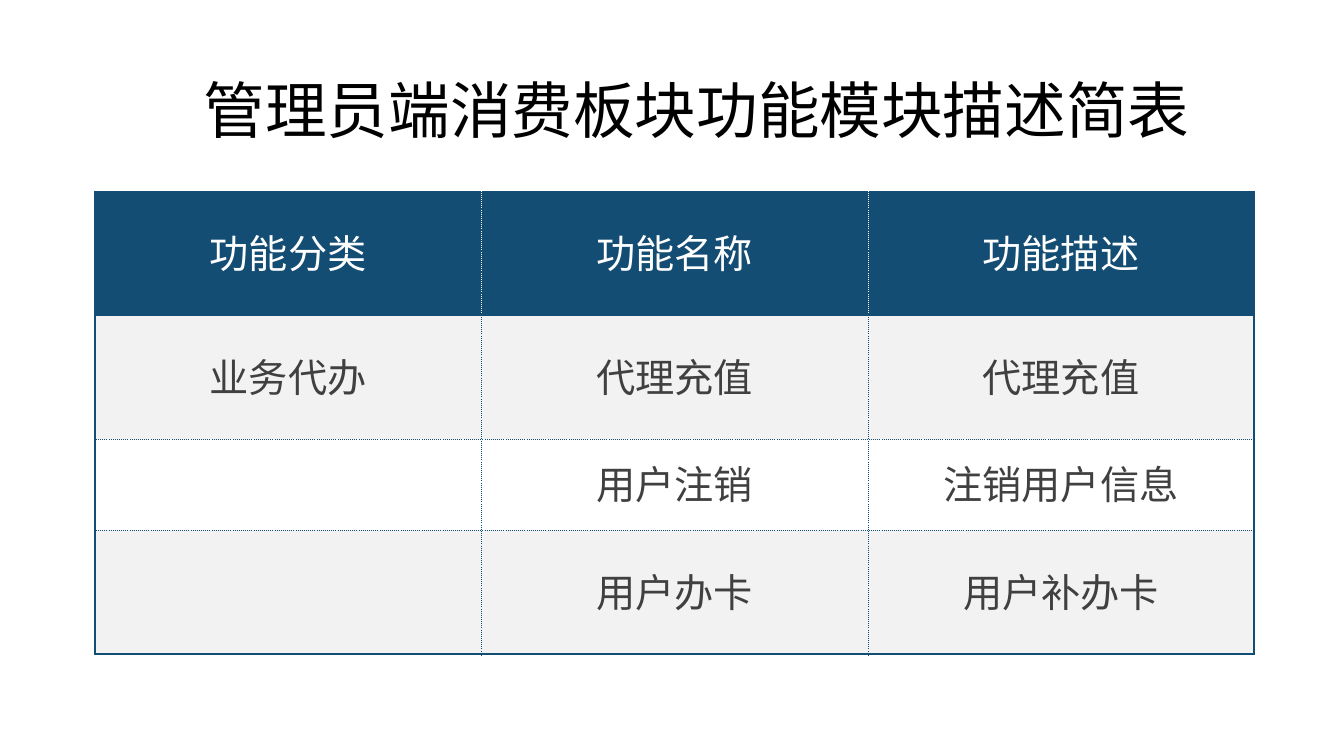
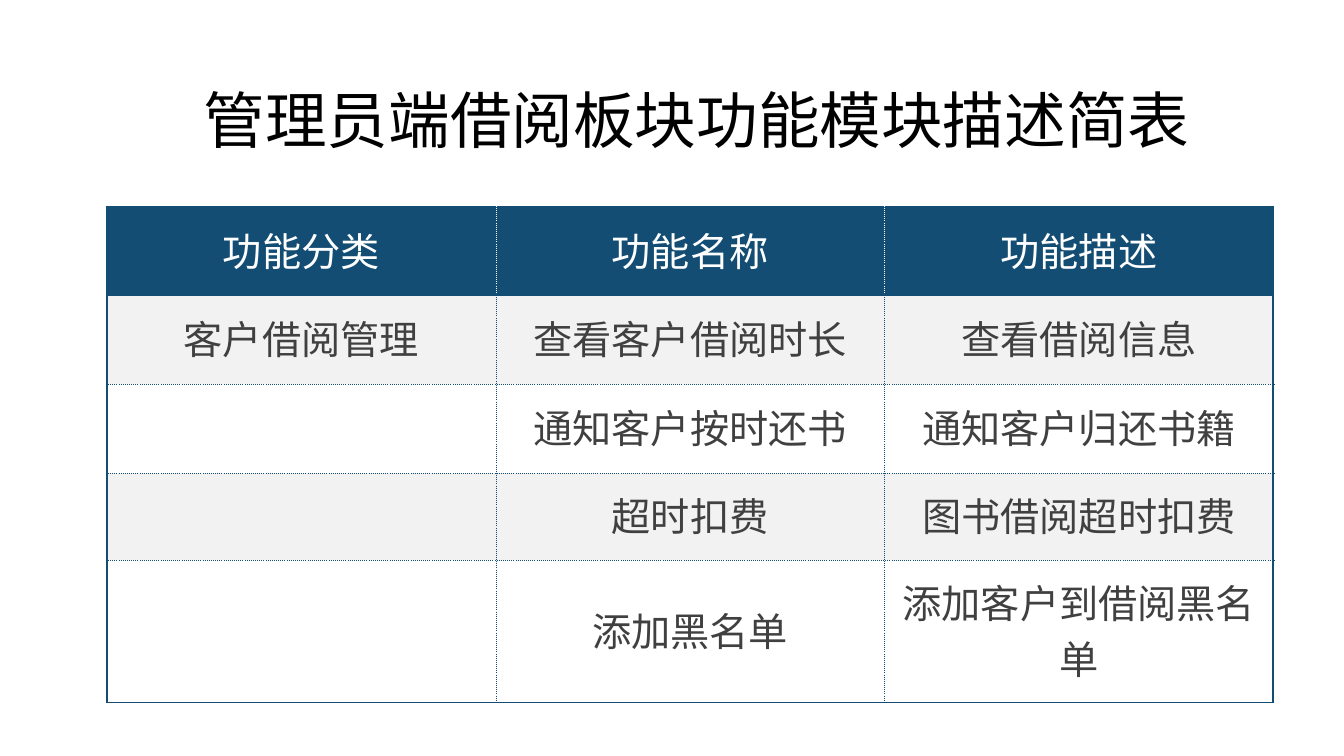
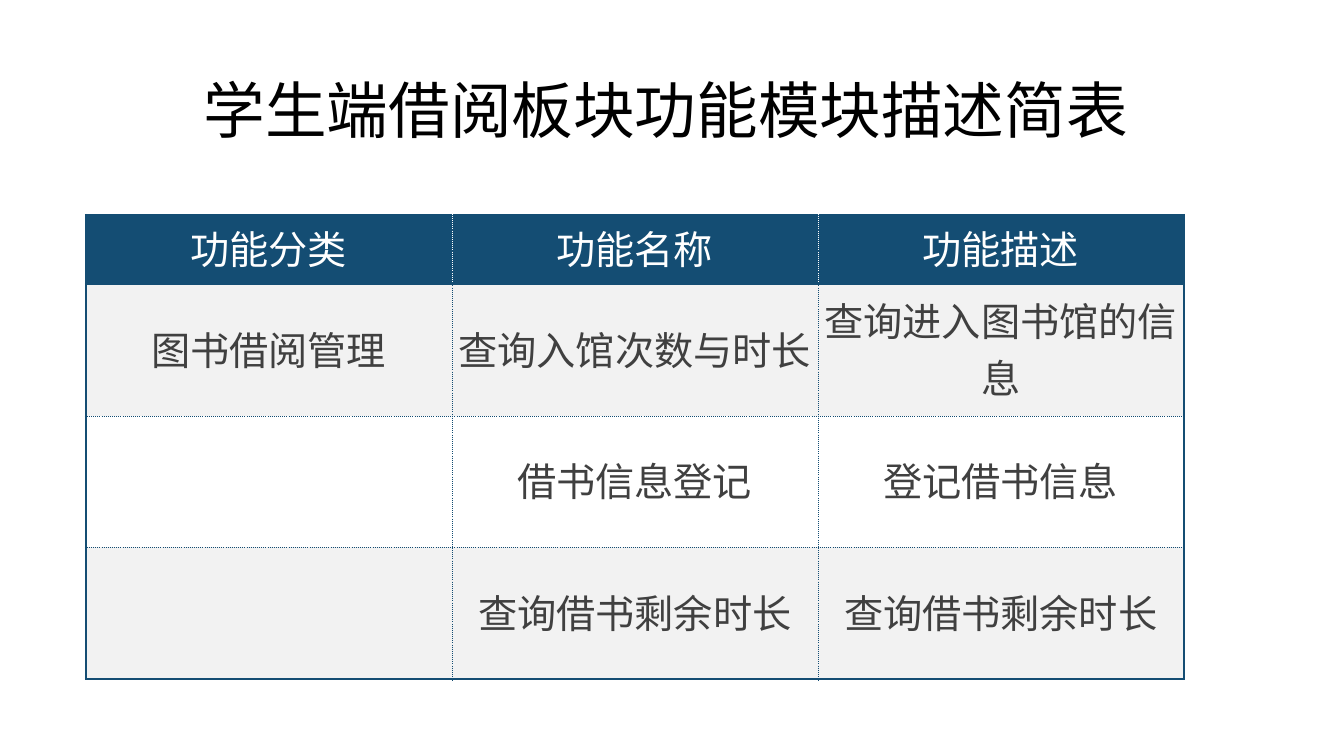
from lxml.etree import SubElement
from pptx import Presentation
from pptx.dml.color import RGBColor
from pptx.enum.text import MSO_ANCHOR, MSO_AUTO_SIZE, PP_ALIGN
from pptx.oxml.ns import qn
from pptx.util import Inches, Pt

NAVY = RGBColor(0x14, 0x4D, 0x73)
WHITE = RGBColor(0xFF, 0xFF, 0xFF)
PALE_GRAY = RGBColor(0xF2, 0xF2, 0xF2)
DARK_GRAY = RGBColor(0x40, 0x40, 0x40)
BLACK = RGBColor(0, 0, 0)
FONT = "Arial"
TITLE_ONLY = 5
HEADER = ("功能分类", "功能名称", "功能描述")

# Each page: title and its box, table corner and width, row heights, body rows
PAGES = [
    {
        "title": "管理员端消费板块功能模块描述简表",
        "title_box": (0.92, 0.4, 11.5, 1.45),
        "table_box": (0.94, 1.9, 11.5),
        "heights": (1.23, 1.23, 0.9, 1.23),
        "rows": [
            ("业务代办", "代理充值", "代理充值"),
            ("", "用户注销", "注销用户信息"),
            ("", "用户办卡", "用户补办卡"),
        ],
    },
    {
        "title": "管理员端借阅板块功能模块描述简表",
        "title_box": (0.92, 0.4, 11.55, 1.65),
        "table_box": (1.06, 2.05, 11.57),
        "heights": (0.88, 0.88, 0.88, 0.87, 1.41),
        "rows": [
            ("客户借阅管理", "查看客户借阅时长", "查看借阅信息"),
            ("", "通知客户按时还书", "通知客户归还书籍"),
            ("", "超时扣费", "图书借阅超时扣费"),
            ("", "添加黑名单", "添加客户到借阅黑名单"),
        ],
    },
    {
        "title": "学生端借阅板块功能模块描述简表",
        "title_box": (0.92, 0.4, 11.5, 1.45),
        "table_box": (0.85, 2.13, 10.89),
        "heights": (0.69, 1.31, 1.3, 1.31),
        "rows": [
            ("图书借阅管理", "查询入馆次数与时长", "查询进入图书馆的信息"),
            ("", "借书信息登记", "登记借书信息"),
            ("", "查询借书剩余时长", "查询借书剩余时长"),
        ],
    },
]


def add_span(para, text, size, color):
    span = para.add_run()
    span.text = text
    span.font.name = FONT
    span.font.size = Pt(size)
    span.font.color.rgb = color


def add_title(page, text, box):
    title = page.shapes.title
    title.left, title.top, title.width, title.height = map(Inches, box)
    frame = title.text_frame
    frame.word_wrap = True
    frame.auto_size = MSO_AUTO_SIZE.NONE
    frame.vertical_anchor = MSO_ANCHOR.MIDDLE
    para = frame.paragraphs[0]
    para.alignment = PP_ALIGN.LEFT
    para.line_spacing = 0.9
    # Tab stop that sets the title in by one inch
    stops = SubElement(para._p.get_or_add_pPr(), qn("a:tabLst"))
    SubElement(stops, qn("a:tab"), pos=str(Inches(1)), algn="l")
    add_span(para, "\t" + text, 44, BLACK)


def add_border(cell, side, color, outer):
    """Solid heavy line for outer edges, fine dots for inner ones."""
    width = Pt(1.5) if outer else Pt(0.25)
    line = SubElement(cell._tc.get_or_add_tcPr(), qn("a:ln" + side), w=str(width))
    fill = SubElement(line, qn("a:solidFill"))
    SubElement(fill, qn("a:srgbClr"), val=str(color))
    SubElement(line, qn("a:prstDash"), val="solid" if outer else "dot")


def format_cell(cell, text, row, column, last_row, last_column):
    is_header = row == 0
    # Borders come before the fill in the cell properties
    divider = WHITE if is_header else NAVY
    first, last = column == 0, column == last_column
    add_border(cell, "L", NAVY if first else divider, first)
    add_border(cell, "R", NAVY if last else divider, last)
    add_border(cell, "T", NAVY, row <= 1)
    add_border(cell, "B", NAVY, row in (0, last_row))
    cell.fill.solid()
    cell.fill.fore_color.rgb = NAVY if is_header else PALE_GRAY if row % 2 else WHITE
    # Text
    cell.margin_left = cell.margin_right = cell.margin_top = Inches(0.01)
    cell.margin_bottom = Inches(0.05)
    cell.vertical_anchor = MSO_ANCHOR.MIDDLE
    if text:
        para = cell.text_frame.paragraphs[0]
        para.alignment = PP_ALIGN.CENTER
        add_span(para, text, 28, WHITE if is_header else DARK_GRAY)


def add_function_table(page, box, heights, body):
    left, top, width = box
    rows = [HEADER, *body]
    frame = page.shapes.add_table(
        len(rows), len(HEADER),
        Inches(left), Inches(top), Inches(width), Inches(sum(heights)),
    )
    table = frame.table
    table.first_row = table.horz_banding = False
    for column in table.columns:
        column.width = Inches(width / len(HEADER))
    for r, (texts, height) in enumerate(zip(rows, heights)):
        table.rows[r].height = Inches(height)
        for c, text in enumerate(texts):
            format_cell(table.cell(r, c), text, r, c, len(rows) - 1, len(HEADER) - 1)


def main():
    deck = Presentation()
    deck.slide_width, deck.slide_height = Inches(13.33), Inches(7.5)
    for content in PAGES:
        page = deck.slides.add_slide(deck.slide_layouts[TITLE_ONLY])
        add_title(page, content["title"], content["title_box"])
        add_function_table(page, content["table_box"], content["heights"], content["rows"])
    deck.save("out.pptx")


if __name__ == "__main__":
    main()
